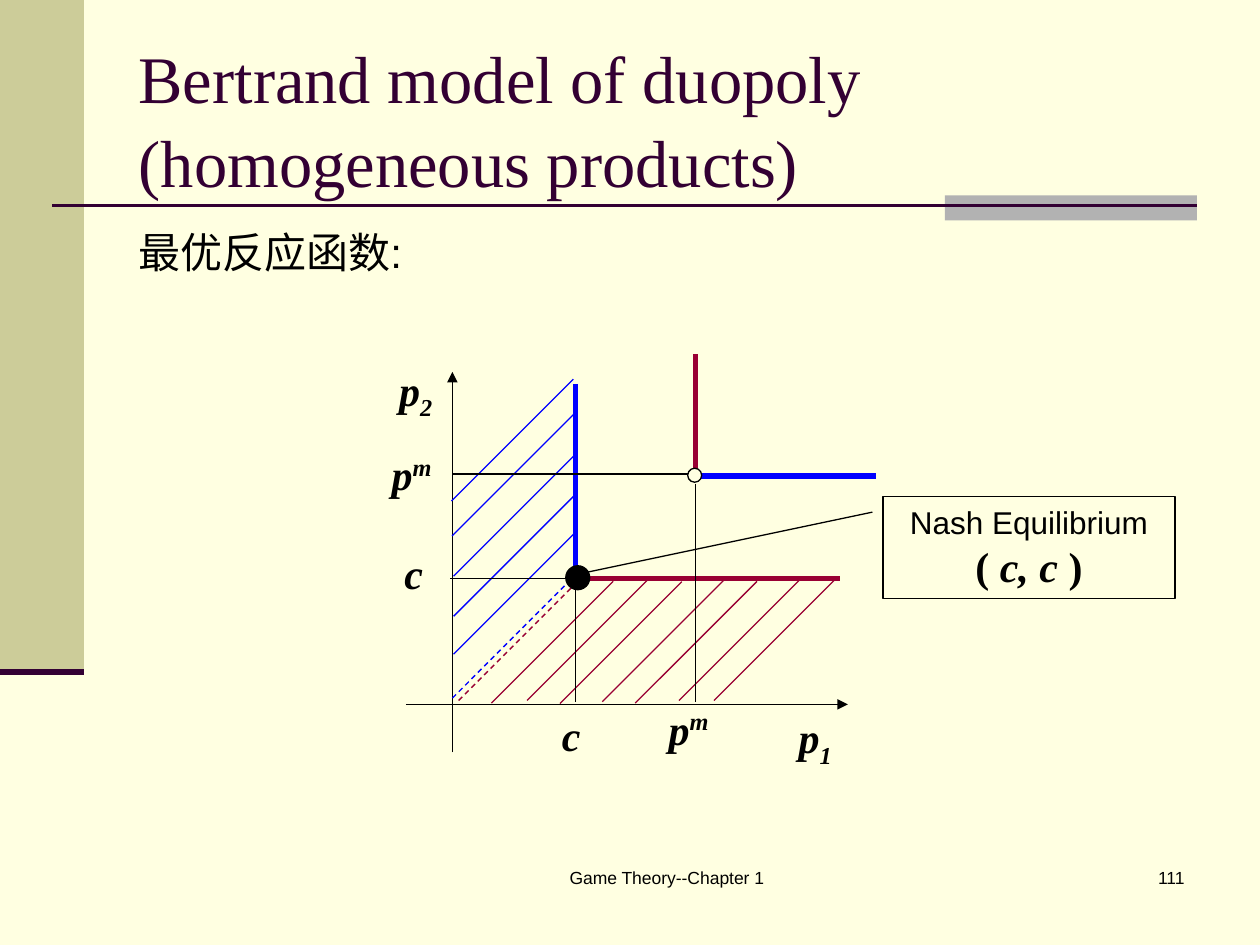
from dataclasses import dataclass

from pptx import Presentation
from pptx.dml.color import RGBColor as RGB
from pptx.enum.dml import MSO_LINE_DASH_STYLE as Dash
from pptx.enum.shapes import MSO_CONNECTOR as Connector, MSO_SHAPE as Shape
from pptx.enum.text import MSO_ANCHOR as Anchor, MSO_AUTO_SIZE as AutoSize, PP_ALIGN as Align
from pptx.oxml.ns import qn
from pptx.util import Pt


@dataclass(frozen=True)
class Theme:
    paper: str = "FFFFE1"
    band: str = "CCCC99"
    accent: str = "B2B2B2"
    heading: str = "330033"
    ink: str = "000000"
    firm_1: str = "0000FF"
    firm_2: str = "990033"
    sans: str = "Arial"
    serif: str = "Times New Roman"
    title_size: float = 38
    body_size: float = 24
    note_size: float = 18
    footer_size: float = 10
    thin: float = 0.75
    thick: float = 3


class SlideBuilder:
    def __init__(self, slide, theme):
        self.slide = slide
        self.theme = theme
        self.shapes = slide.shapes
        fill = slide.background.fill
        fill.solid()
        fill.fore_color.rgb = RGB.from_string(theme.paper)

    def run(self, paragraph, text, size, face, color=None, baseline=0, **formats):
        run = paragraph.add_run()
        run.text = text
        formats = {"size": Pt(size), "name": face, **formats}
        for attribute, value in formats.items():
            setattr(run.font, attribute, value)
        run.font.color.rgb = RGB.from_string(color or self.theme.ink)
        if baseline:
            run.font._element.set("baseline", str(baseline * 1000))

    def title(self, text, left, top, width, height):
        holder = self.shapes.title
        place = {"left": left, "top": top, "width": width, "height": height}
        for attribute, value in place.items():
            setattr(holder, attribute, Pt(value))
        frame = holder.text_frame
        formats = {"word_wrap": True, "auto_size": AutoSize.NONE,
                   "vertical_anchor": Anchor.MIDDLE}
        for attribute, value in formats.items():
            setattr(frame, attribute, value)
        paragraph = frame.paragraphs[0]
        paragraph.alignment = Align.LEFT
        paragraph.line_spacing = 1.06
        self.run(paragraph, text, self.theme.title_size, self.theme.serif, self.theme.heading)

    def text_box(self, left, top, width, height, align=Align.LEFT):
        box = self.shapes.add_textbox(Pt(left), Pt(top), Pt(width), Pt(height))
        box.text_frame.word_wrap = True
        paragraph = box.text_frame.paragraphs[0]
        paragraph.alignment = align
        return paragraph

    def text(self, words, place, size, align=Align.LEFT):
        self.run(self.text_box(*place, align), words, size, self.theme.sans)

    def symbol(self, left, top, width, letter, index="", baseline=0):
        paragraph = self.text_box(left, top, width, 36)
        style = {"size": self.theme.body_size, "face": self.theme.serif,
                 "bold": True, "italic": True}
        self.run(paragraph, letter, **style)
        if index:
            self.run(paragraph, index, baseline=baseline, **style)

    def shape(self, kind, left, top, width, height, fill=None, line=None):
        shape = self.shapes.add_shape(kind, Pt(left), Pt(top), Pt(width), Pt(height))
        shape.shadow.inherit = False
        if fill:
            shape.fill.solid()
            shape.fill.fore_color.rgb = RGB.from_string(fill)
        else:
            shape.fill.background()
        if line:
            shape.line.color.rgb = RGB.from_string(line)
            shape.line.width = Pt(self.theme.thin)
        else:
            shape.line.fill.background()
        return shape

    def line(self, start, end, color=None, width=None, dash=None, arrow=False):
        line = self.shapes.add_connector(Connector.STRAIGHT, *map(Pt, start + end))
        formats = {"width": Pt(width or self.theme.thin), "dash_style": dash}
        for attribute, value in formats.items():
            setattr(line.line, attribute, value)
        line.line.color.rgb = RGB.from_string(color or self.theme.ink)
        properties = line._element.spPr
        if arrow:
            tail = properties.find(qn("a:ln")).makeelement(qn("a:tailEnd"), {"type": "triangle"})
            properties.find(qn("a:ln")).append(tail)
        properties.append(properties.makeelement(qn("a:effectLst"), {}))

    def diagonal(self, left, bottom, color, dash=None):
        reach = 69.6
        self.line((left, bottom), (left + reach, bottom - reach), color, dash=dash)

    def callout(self, left, top, width, height, pointer):
        box = self.shape(Shape.LINE_CALLOUT_1, left, top, width, height, line=self.theme.ink)
        for position, value in enumerate(pointer):
            box.adjustments[position] = value
        frame = box.text_frame
        frame.word_wrap = True
        frame.vertical_anchor = Anchor.TOP
        heading, pair = frame.paragraphs[0], frame.add_paragraph()
        heading.alignment = pair.alignment = Align.CENTER
        self.run(heading, "Nash Equilibrium", self.theme.note_size, self.theme.sans)
        for words, italic in (("( ", False), ("c, c", True), (" )", False)):
            self.run(pair, words, self.theme.body_size, self.theme.serif,
                     bold=True, italic=italic)


def draw_frame(page, theme):
    page.shape(Shape.RECTANGLE, 0, 0, 48, 384, theme.band)
    page.shape(Shape.RECTANGLE, 540, 111.6, 180 - 36, 14.4, theme.accent)
    page.line((30, 117.5), (684, 117.5), theme.heading, 1.5)
    page.line((0, 384), (48, 384), theme.heading, 3.5)
    page.title("Bertrand model of duopoly (homogeneous products)", 72, 21.6, 612, 90)
    page.text("最优反应函数:", (72, 126, 612, 39.6), theme.body_size)
    page.text("Game Theory--Chapter 1", (264, 492, 234, 36), theme.footer_size, Align.CENTER)
    page.text("111", (534, 492, 150, 36), theme.footer_size, Align.RIGHT)


def draw_diagram(page, theme):
    axis_x, axis_y = 258.5, 402.5
    cost_x, cost_y = 329, 330.4
    monopoly_x, monopoly_y = 397.5, 270.8
    page.line((232, axis_y), (484.5, axis_y), arrow=True)
    page.line((axis_x, 430), (axis_x, 212.5), arrow=True)

    page.line((cost_x, cost_y), (480.2, cost_y), theme.firm_2, theme.thick)
    page.line((cost_x, cost_y), (cost_x, 219.5), theme.firm_1, theme.thick)
    page.line((monopoly_x, 268), (monopoly_x, 202.3), theme.firm_2, theme.thick)
    page.line((400.5, 272), (500.5, 272), theme.firm_1, theme.thick)
    page.shape(Shape.OVAL, 393, 267.6, 8, 8, line=theme.ink)

    page.diagonal(262.1, 400.3, theme.firm_2, Dash.DASH)
    page.diagonal(axis_x, 398.9, theme.firm_1, Dash.DASH)
    for left, bottom in ((280.8, 401.8), (301.2, 400.3), (320, 402), (344.2, 401),
                         (363, 401.8), (388, 400.3), (408, 400.3)):
        page.diagonal(left, bottom, theme.firm_2)
    for left, bottom in ((258, 286.3), (258.3, 306.3), (259.2, 329.3),
                         (259.2, 352.2), (259.2, 373.8)):
        page.diagonal(left, bottom, theme.firm_1)

    page.line((cost_x, cost_y), (cost_x, 401))
    page.line((cost_x, cost_y), (257.2, cost_y))
    page.line((monopoly_x, 276.5), (monopoly_x, 401))
    page.line((axis_x, monopoly_y), (393, monopoly_y))

    for left, top, width, *letters in (
        (449.3, 403.2, 41, "p", "1", -25), (221, 204.5, 41, "p", "2", -25),
        (314, 401.8, 28.8, "c"), (224, 309.6, 28.8, "c"),
        (375, 398.2, 41, "p", "m", 34), (216.7, 252.7, 41, "p", "m", 34),
    ):
        page.symbol(left, top, width, *letters)
    page.shape(Shape.OVAL, 323.3, 323.3, 13.7, 13.7, theme.ink, theme.ink)
    page.callout(504.5, 283.7, 167, 58.3, (0.154, -0.036, 0.745, -1.016))


def main():
    theme = Theme()
    deck = Presentation()
    deck.slide_width, deck.slide_height = Pt(720), Pt(540)
    page = SlideBuilder(deck.slides.add_slide(deck.slide_layouts[5]), theme)
    draw_frame(page, theme)
    draw_diagram(page, theme)
    deck.save("out.pptx")


if __name__ == "__main__":
    main()
